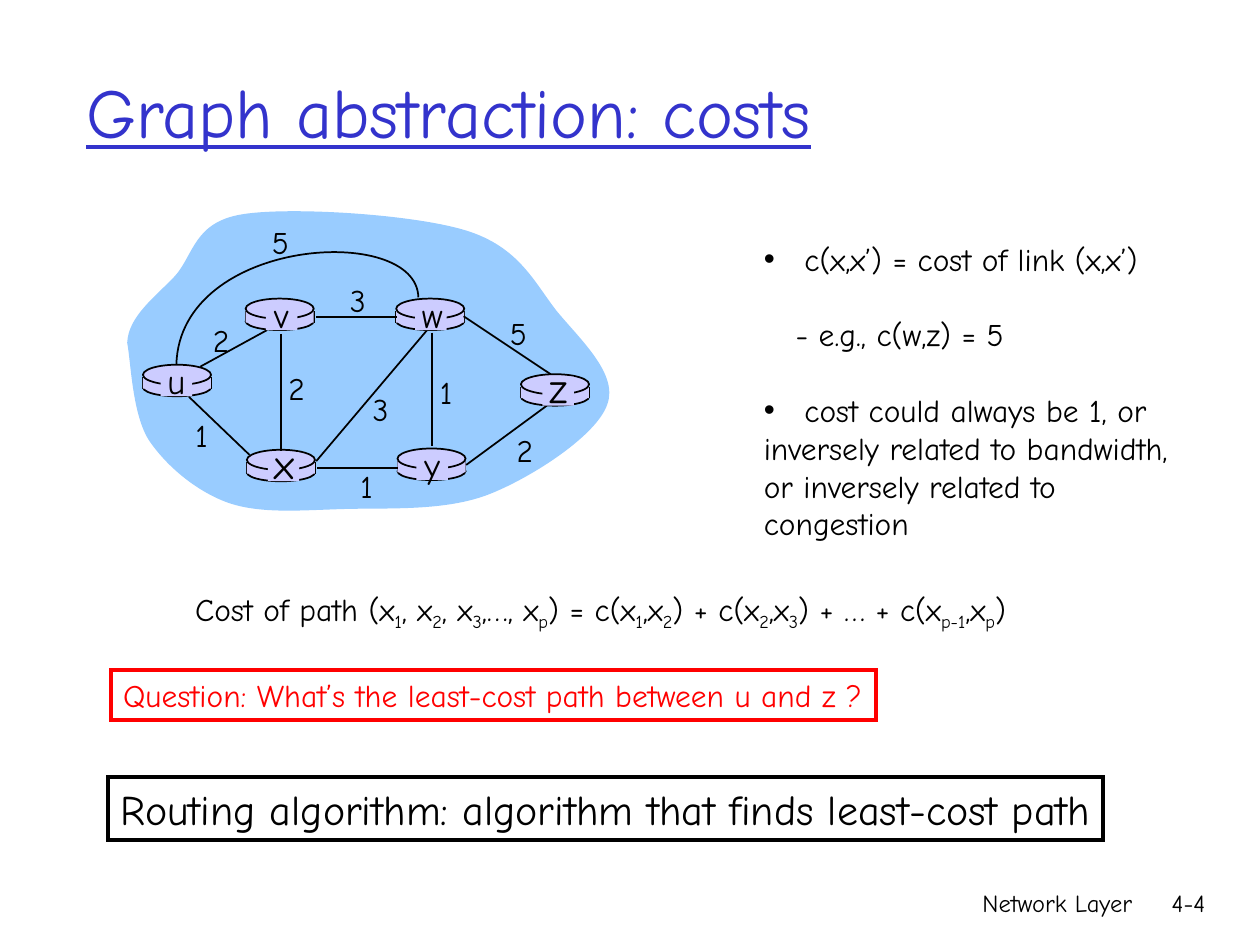
from lxml.etree import SubElement
from pptx import Presentation
from pptx.dml.color import RGBColor
from pptx.enum.shapes import MSO_CONNECTOR, MSO_SHAPE
from pptx.enum.text import MSO_ANCHOR, MSO_AUTO_SIZE, PP_ALIGN
from pptx.oxml.ns import qn
from pptx.util import Inches, Pt

WIDE, HIGH = Inches(10), Inches(7.5)
CELL = WIDE / 100
FONT = "Comic Neue"
BLACK = RGBColor(0, 0, 0)
RED = RGBColor(0xFF, 0, 0)
BLUE = RGBColor(0x33, 0x33, 0xCC)
SKY = RGBColor(0x99, 0xCC, 0xFF)
LILAC = RGBColor(0xCC, 0xCC, 0xFF)

NODES = {
    "u": (11.35, 28.95, 14, 20), "v": (19.5, 23.7, 22.35, 20),
    "w": (31.45, 23.7, 34.2, 20), "x": (19.6, 35.7, 22.5, 24),
    "y": (31.55, 35.6, 34.3, 20), "z": (41.35, 29.7, 44.3, 24),
}
LINKS = [
    (15.9, 29.1, 21.2, 26.2), (34.3, 26.4, 34.3, 35.4), (22.3, 26.5, 22.3, 35.8),
    (25.1, 36.6, 33.9, 26.2), (37, 36.9, 43.4, 32.2), (25.2, 37.15, 31.6, 37.15),
    (15, 31.5, 19.8, 36.1), (25.1, 25.15, 31.5, 25.15), (36.8, 25.1, 43.7, 29.7),
]
COSTS = [
    ("2", 17.55, 27), ("2", 23.55, 30.8), ("1", 16, 34.5), ("3", 30.2, 32.5),
    ("1", 29.1, 38.6), ("1", 35.4, 31.1), ("2", 41.65, 35.7), ("5", 41.15, 26.4),
    ("3", 28.4, 23.8), ("5", 22.25, 19.2),
]
CLOUD = [
    (10.1, 27.2), (10.2, 25.1), (12.3, 23.6), (13.9, 21.9), (15.4, 20.2),
    (15.4, 17.6), (19.3, 17), (23.1, 16.4), (32.8, 17), (37, 18.3),
    (41.2, 19.6), (42.4, 22.4), (44.2, 24.7), (46.1, 27), (49.1, 29.7),
    (48.2, 32.1), (47.4, 34.5), (42.4, 37.8), (38.9, 39.2), (35.4, 40.6),
    (30.8, 40.3), (27.3, 40.4), (23.9, 40.5), (20.7, 40.8), (18.1, 39.9),
    (15.6, 39), (13.2, 37), (11.8, 34.9), (10.5, 32.8), (10.4, 28.8), (10.1, 27.2),
]
ARC = [(33.2, 23.6), (33.1, 17.7), (14.3, 18.8), (14, 28.9)]
ITEMS = [
    ("c(x,x’) = cost of link (x,x’)", True, 0, 0),
    ("- e.g., c(w,z) = 5", False, 2.52, 21.6),
    ("cost could always be 1, or", True, 0, 21.6),
    ("inversely related to bandwidth,", False, 0, 0),
    ("or inversely related to", False, 0, 0),
    ("congestion", False, 0, 0),
]
SUM = ("Cost of path (x|1|, x|2|, x|3|,…, x|p|) = c(x|1|,x|2|) + c(x|2|,x|3|)"
       " + … + c(x|p-1|,x|p|)")


def grid(*cells):
    """Turn counts of grid cells into slide lengths."""
    return [round(cell * CELL) for cell in cells]


def style(part, size, color=BLACK):
    """Format every run of a paragraph."""
    for run in part.runs:
        run.font.name, run.font.size = FONT, Pt(size)
        run.font.color.rgb = color


def place(shape, *cells):
    """Move and size a shape on the grid."""
    shape.left, shape.top, shape.width, shape.height = grid(*cells)


def paint(shape, fill=None, line=None, width=1):
    """Set fill and line of a shape and drop its shadow."""
    shape.shadow.inherit = False
    if fill is None:
        shape.fill.background()
    else:
        shape.fill.solid()
        shape.fill.fore_color.rgb = fill
    if line is None:
        shape.line.fill.background()
    else:
        shape.line.color.rgb, shape.line.width = line, Pt(width)
        SubElement(shape.line._get_or_add_ln(), qn("a:miter"), lim="800000")


def add_text(shapes, text, cells, size, align=PP_ALIGN.LEFT):
    """Add one line of text without wrapping."""
    box = shapes.add_textbox(*grid(*cells))
    box.text_frame.word_wrap = False
    box.text_frame.text = text
    part = box.text_frame.paragraphs[0]
    part.alignment = align
    style(part, size)


def add_mark(shapes, text, x, y, size):
    """Add a short label centred on a point."""
    add_text(shapes, text, (x - 1.7, y - size / 9, 3.4, size / 4.5), size, PP_ALIGN.CENTER)


def add_frame(shapes, text, cells, size, color):
    """Add a framed line of text."""
    box = shapes.add_shape(MSO_SHAPE.RECTANGLE, *grid(*cells))
    paint(box, line=color, width=2.25)
    box.text_frame.word_wrap = False
    box.text_frame.vertical_anchor = MSO_ANCHOR.TOP
    box.text_frame.text = text
    part = box.text_frame.paragraphs[0]
    part.alignment = PP_ALIGN.LEFT
    style(part, size, color)


def add_form(shapes, kind, cells, line=None):
    """Add a lilac piece of a router."""
    paint(shapes.add_shape(kind, *grid(*cells)), LILAC, line)


def add_link(shapes, x, y, end_x, end_y):
    """Add a thin black line."""
    link = shapes.add_connector(MSO_CONNECTOR.STRAIGHT, *grid(x, y, end_x, end_y))
    link.line.color.rgb, link.line.width = BLACK, Pt(1)
    SubElement(link._element.spPr, qn("a:effectLst"))


def add_curve(shapes, knots, closed, fill=None, line=None):
    """Add an outline whose knots form a chain of cubic curves."""
    form = shapes.build_freeform(*grid(*knots[0]), scale=1.0)
    form.add_line_segments([grid(*knot) for knot in knots[1:]], close=closed)
    shape = form.convert_to_shape()
    lines = list(shape._element.iter(qn("a:lnTo")))
    for at in range(0, len(lines), 3):
        curve, *rest = lines[at:at + 3]
        curve.tag = qn("a:cubicBezTo")
        for other in rest:
            curve.append(other[0])
            other.getparent().remove(other)
    paint(shape, fill, line)


def add_node(shapes, x, y):
    """Add a flat drum for one router."""
    add_form(shapes, MSO_SHAPE.OVAL, (x, y + 1.1, 5.4, 1.4), BLACK)
    for side in (x, x + 5.4):
        add_link(shapes, side, y + 1, side, y + 1.9)
    add_form(shapes, MSO_SHAPE.RECTANGLE, (x, y + 1, 5.4, 0.9))
    add_form(shapes, MSO_SHAPE.OVAL, (x, y, 5.4, 1.6), BLACK)


def add_graph(shapes):
    """Draw the cloud, routers, links and costs."""
    add_curve(shapes, CLOUD, True, fill=SKY)
    for x, y, mid, size in NODES.values():
        add_node(shapes, x, y)
    for link in LINKS:
        add_link(shapes, *link)
    add_curve(shapes, ARC, False, line=BLACK)
    for name, (x, y, mid, size) in NODES.items():
        add_form(shapes, MSO_SHAPE.RECTANGLE, (mid - 1.25, y + 0.2, 2.5, 2.3))
        add_mark(shapes, name, mid, y + (1.3 if size == 20 else 1.2), size)
    for cost, x, y in COSTS:
        add_mark(shapes, cost, x, y, 18)


def fill_title(title):
    """Write the slide title."""
    place(title, 5.83, 2.5, 85, 12.5)
    title.text_frame.text = "Graph abstraction: costs"
    part = title.text_frame.paragraphs[0]
    part.alignment = PP_ALIGN.LEFT
    style(part, 40, BLUE)
    part.runs[0].font.underline = True


def fill_list(body):
    """Write the notes on cost beside the graph."""
    place(body, 59.62, 18.54, 34.3, 25)
    frame = body.text_frame
    frame.auto_size, frame.vertical_anchor = MSO_AUTO_SIZE.NONE, MSO_ANCHOR.TOP
    frame.word_wrap = False
    frame.text = "\n".join(item[0] for item in ITEMS)
    for part, (text, dot, indent, gap) in zip(frame.paragraphs, ITEMS):
        part.space_before, part.alignment = Pt(gap), PP_ALIGN.LEFT
        style(part, 18)
        hang = 3.22 if dot else 0
        left, first = grid(indent + hang, -hang)
        props = part._p.get_or_add_pPr()
        props.set("marL", str(left))
        props.set("indent", str(first))
        if dot:
            SubElement(props, qn("a:buChar"), char="•")
        else:
            SubElement(props, qn("a:buNone"))


def add_sum(shapes):
    """Add the path cost formula with its subscripts."""
    box = shapes.add_textbox(*grid(14.5, 46.3, 68, 4.4))
    box.text_frame.word_wrap = False
    part = box.text_frame.paragraphs[0]
    for spot, text in enumerate(SUM.split("|")):
        run = part.add_run()
        run.text = text
        if spot % 2:
            run._r.get_or_add_rPr().set("baseline", "-25000")
    style(part, 18)


def main():
    """Build the slide and save it."""
    deck = Presentation()
    deck.slide_width, deck.slide_height = WIDE, HIGH
    slide = deck.slides.add_slide(deck.slide_layouts[1])
    shapes = slide.shapes
    fill_title(shapes.title)
    add_graph(shapes)
    fill_list(slide.placeholders[1])
    add_sum(shapes)
    add_frame(shapes, "Question: What’s the least-cost path between u and z ?",
              (8.8, 53.15, 60.7, 4), 18, RED)
    add_frame(shapes, "Routing algorithm: algorithm that finds least-cost path",
              (8.6, 61.7, 78.95, 5), 24, BLACK)
    add_text(shapes, "Network Layer", (59.15, 70, 31.7, 5), 14, PP_ALIGN.RIGHT)
    add_text(shapes, "4-4", (89.25, 70, 7.4, 5), 14, PP_ALIGN.RIGHT)
    deck.save("out.pptx")


if __name__ == "__main__":
    main()
